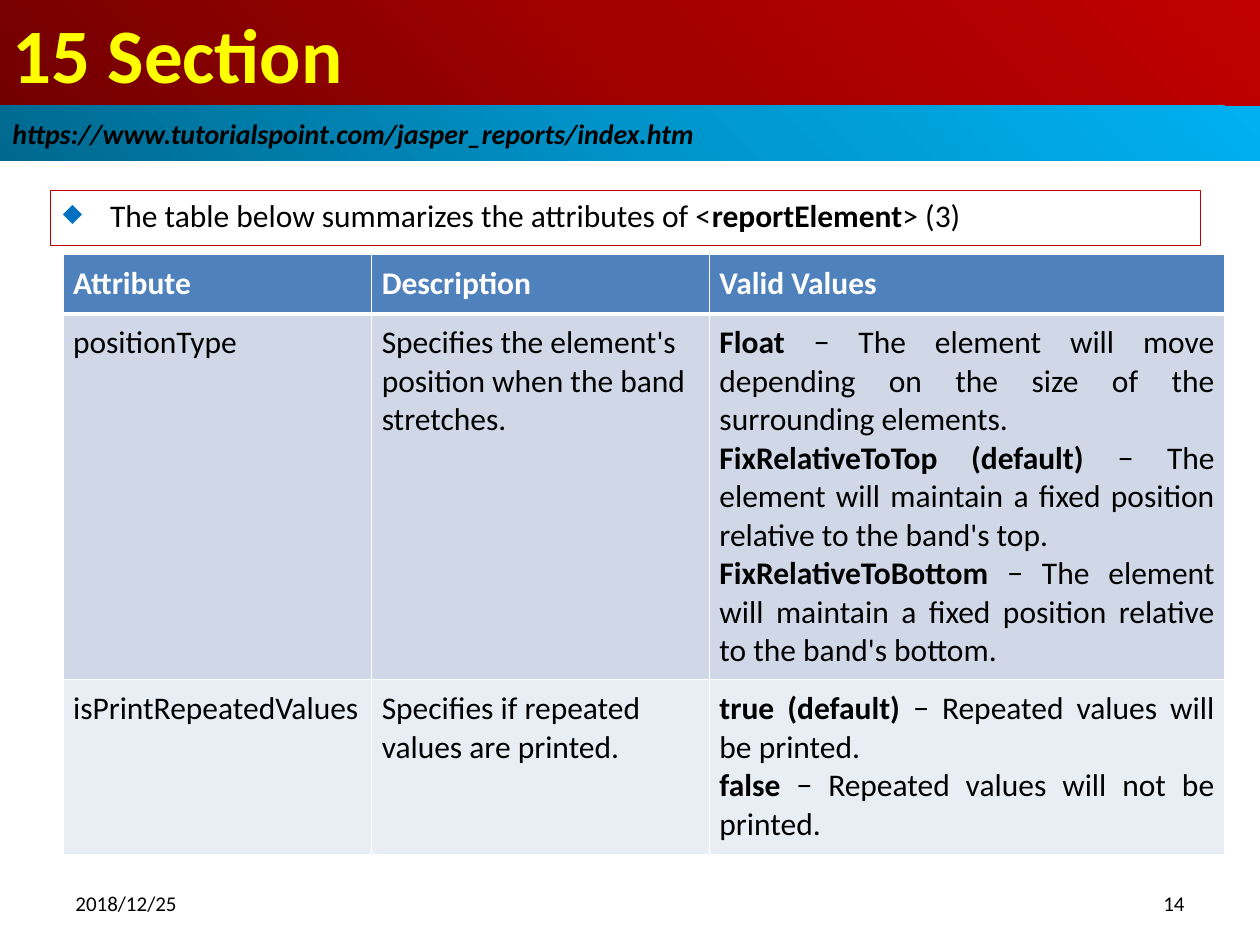
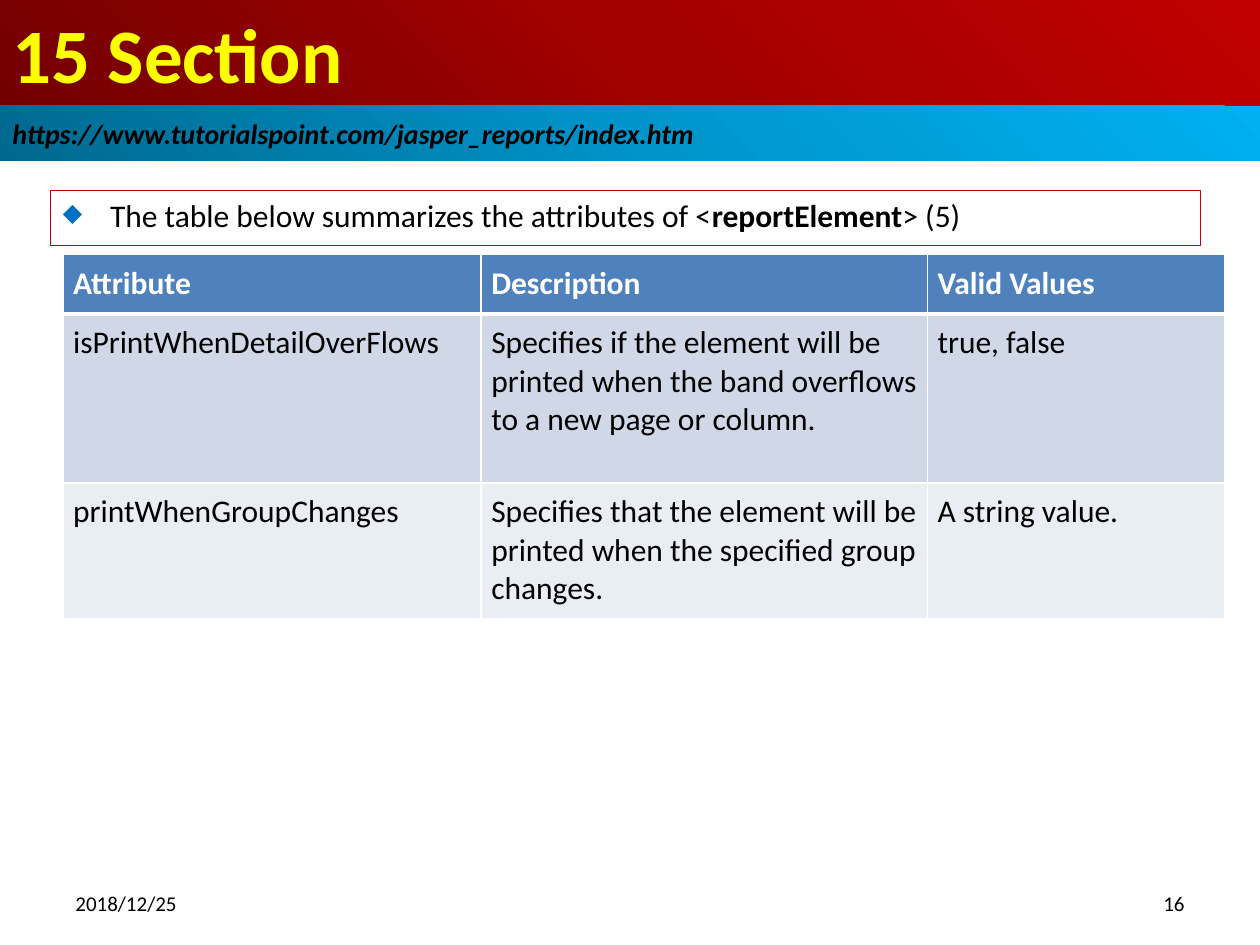
import pptx
import pptx.util
import pptx.dml.color
import pptx.enum.shapes
import pptx.enum.text
import pptx.oxml
import pptx.oxml.ns

Pt = pptx.util.Pt
RGBColor = pptx.dml.color.RGBColor
ALIGN = pptx.enum.text.PP_ALIGN
ANCHOR = pptx.enum.text.MSO_ANCHOR

BLACK = RGBColor(0x00, 0x00, 0x00)
WHITE = RGBColor(0xFF, 0xFF, 0xFF)
YELLOW = RGBColor(0xFF, 0xFF, 0x00)
RED = RGBColor(0xC0, 0x00, 0x00)
BULLET_BLUE = RGBColor(0x00, 0x70, 0xC0)
HEADER_BLUE = RGBColor(0x4F, 0x81, 0xBD)
ROW_FILLS = (RGBColor(0xD0, 0xD8, 0xE8), RGBColor(0xE9, 0xED, 0xF4))
RED_STOPS = (RGBColor(0x72, 0x00, 0x00), RGBColor(0xA2, 0x00, 0x00), RED)
BLUE_STOPS = (RGBColor(0x00, 0x68, 0x8E), RGBColor(0x00, 0x94, 0xCA), RGBColor(0x00, 0xB0, 0xF0))

FONT = "Calibri"
SLIDE_WIDTH, SLIDE_HEIGHT = 720, 540
TITLE_BOX = (0, 0, SLIDE_WIDTH, 60.5)
SOURCE_BOX = (0, 60.5, SLIDE_WIDTH, 31.5)
SUMMARY_BOX = (28.8, 108.7, 657.4, 31.7)
FOOTER_BOX = (36, 500.4, 648, 31.7)
TABLE_LEFT, TABLE_TOP = 36, 145.4
CELL_MARGIN = 5.76
HEADINGS = ("Attribute", "Description", "Valid Values")

PAGES = [
    {
        "number": 14,
        "part": 3,
        "columns": (176.4, 193, 294.5),
        "heights": (34, 209, 100),
        "rows": [
            ("positionType",
             "Specifies the element's position when the band stretches.",
             ["**Float** − The element will move depending on the size of the surrounding elements.",
              "**FixRelativeToTop (default)** − The element will maintain a fixed position relative to the band's top.",
              "**FixRelativeToBottom** − The element will maintain a fixed position relative to the band's bottom."]),
            ("isPrintRepeatedValues",
             "Specifies if repeated values are printed.",
             ["**true (default)** − Repeated values will be printed.",
              "**false** − Repeated values will not be printed."]),
        ],
    },
    {
        "number": 16,
        "part": 5,
        "columns": (239, 255, 169.9),
        "heights": (34, 96.5, 77.5),
        "rows": [
            ("isPrintWhenDetailOverFlows",
             "Specifies if the element will be printed when the band overflows to a new page or column.",
             "true, false"),
            ("printWhenGroupChanges",
             "Specifies that the element will be printed when the specified group changes.",
             "A string value."),
        ],
    },
]


def write_text(text_frame, text, size=18, color=BLACK, bold=False, italic=False,
               align=ALIGN.LEFT, anchor=ANCHOR.TOP, bullet=None):
    """Write a string or list of paragraphs; parts between ** marks are bold."""
    text_frame.word_wrap = True
    text_frame.vertical_anchor = anchor
    lines = [text] if isinstance(text, str) else text
    for index, line in enumerate(lines):
        paragraph = text_frame.add_paragraph() if index else text_frame.paragraphs[0]
        paragraph.alignment = align
        if bullet:
            add_bullet(paragraph, bullet)
        for position, part in enumerate(line.split("**")):
            if part:
                run = paragraph.add_run()
                run.text = part
                run.font.name = FONT
                run.font.size = Pt(size)
                run.font.bold = bold or position % 2 == 1
                run.font.italic = italic
                run.font.color.rgb = color


def parse_drawing(tag, content, attributes=""):
    namespace = pptx.oxml.ns.nsdecls("a")
    return pptx.oxml.parse_xml(f"<a:{tag} {namespace} {attributes}>{content}</a:{tag}>")


def color_xml(color):
    return f'<a:srgbClr val="{color}"/>'


def add_bullet(paragraph, character, indent=27):
    properties = paragraph._p.get_or_add_pPr()
    properties.set("marL", str(Pt(indent)))
    properties.set("indent", str(-Pt(indent)))
    properties.append(parse_drawing("buClr", color_xml(BULLET_BLUE)))
    properties.append(parse_drawing("buSzPct", "", 'val="80000"'))
    properties.append(parse_drawing("buChar", "", f'char="{character}"'))


def add_box(slide, box):
    shape = slide.shapes.add_shape(
        pptx.enum.shapes.MSO_SHAPE.RECTANGLE, *(Pt(length) for length in box))
    shape.shadow.inherit = False
    shape.fill.background()
    shape.line.fill.background()
    return shape


def add_band(slide, box, stops, text, **text_format):
    band = add_box(slide, box)
    stop_xml = "".join(
        f'<a:gs pos="{index * 50000}">{color_xml(color)}</a:gs>'
        for index, color in enumerate(stops))
    gradient = parse_drawing(
        "gradFill",
        f'<a:gsLst>{stop_xml}</a:gsLst><a:path path="circle">'
        '<a:fillToRect t="100000" r="100000"/></a:path>',
        'rotWithShape="1"')
    properties = band._element.spPr
    no_fill = properties.find(pptx.oxml.ns.qn("a:noFill"))
    properties.replace(no_fill, gradient)
    write_text(band.text_frame, text, bold=True, anchor=ANCHOR.MIDDLE, **text_format)


def add_summary(slide, box, part):
    summary = add_box(slide, box)
    summary.line.color.rgb = RED
    summary.line.width = Pt(0.75)
    write_text(summary.text_frame,
               f"The table below summarizes the attributes of <**reportElement**> ({part}) ",
               bullet="◆")


def add_footer(slide, box, number):
    left, top, width, height = box
    field_width = 168
    fields = ((left, "2018/12/25", ALIGN.LEFT),
              (left + width - field_width, str(number), ALIGN.RIGHT))
    for field_left, text, align in fields:
        field = slide.shapes.add_textbox(Pt(field_left), Pt(top), Pt(field_width), Pt(height))
        write_text(field.text_frame, text, size=12, align=align, anchor=ANCHOR.MIDDLE)


def style_cell(cell, fill, bottom_width):
    cell.margin_left = cell.margin_right = Pt(CELL_MARGIN)
    cell.margin_top = cell.margin_bottom = Pt(CELL_MARGIN)
    properties = cell._tc.get_or_add_tcPr()
    for tag, width in (("lnL", 1), ("lnR", 1), ("lnT", 1), ("lnB", bottom_width)):
        properties.append(parse_drawing(
            tag, f"<a:solidFill>{color_xml(WHITE)}</a:solidFill>", f'w="{Pt(width)}"'))
    cell.fill.solid()
    cell.fill.fore_color.rgb = fill


def add_attribute_table(slide, left, top, columns, heights, rows):
    table = slide.shapes.add_table(
        len(heights), len(columns), Pt(left), Pt(top),
        Pt(sum(columns)), Pt(sum(heights))).table
    table.horz_banding = False
    for column, width in zip(table.columns, columns):
        column.width = Pt(width)
    for row_index, values in enumerate([HEADINGS, *rows]):
        is_header = row_index == 0
        table.rows[row_index].height = Pt(heights[row_index])
        fill = HEADER_BLUE if is_header else ROW_FILLS[(row_index - 1) % 2]
        for column_index, value in enumerate(values):
            cell = table.cell(row_index, column_index)
            style_cell(cell, fill, 3 if is_header else 1)
            write_text(cell.text_frame, value, bold=is_header,
                       color=WHITE if is_header else BLACK,
                       align=ALIGN.JUSTIFY if isinstance(value, list) else ALIGN.LEFT)


def add_attribute_slide(presentation, page):
    slide = presentation.slides.add_slide(presentation.slide_layouts[6])
    add_band(slide, TITLE_BOX, RED_STOPS, "15 Section", size=44, color=YELLOW)
    add_summary(slide, SUMMARY_BOX, page["part"])
    add_band(slide, SOURCE_BOX, BLUE_STOPS,
             "https://www.tutorialspoint.com/jasper_reports/index.htm", size=16, italic=True)
    add_footer(slide, FOOTER_BOX, page["number"])
    add_attribute_table(slide, TABLE_LEFT, TABLE_TOP,
                        page["columns"], page["heights"], page["rows"])


def main():
    presentation = pptx.Presentation()
    presentation.slide_width = Pt(SLIDE_WIDTH)
    presentation.slide_height = Pt(SLIDE_HEIGHT)
    for page in PAGES:
        add_attribute_slide(presentation, page)
    presentation.save("out.pptx")


if __name__ == "__main__":
    main()
